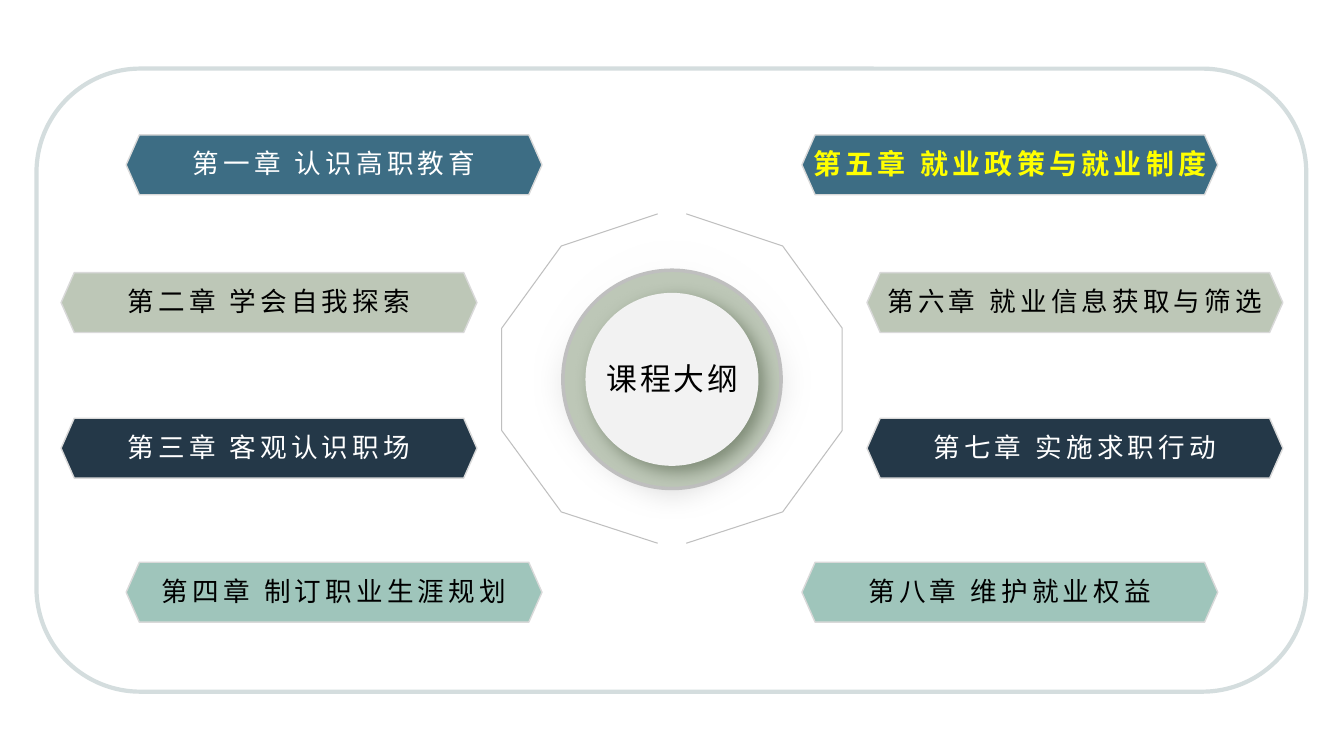
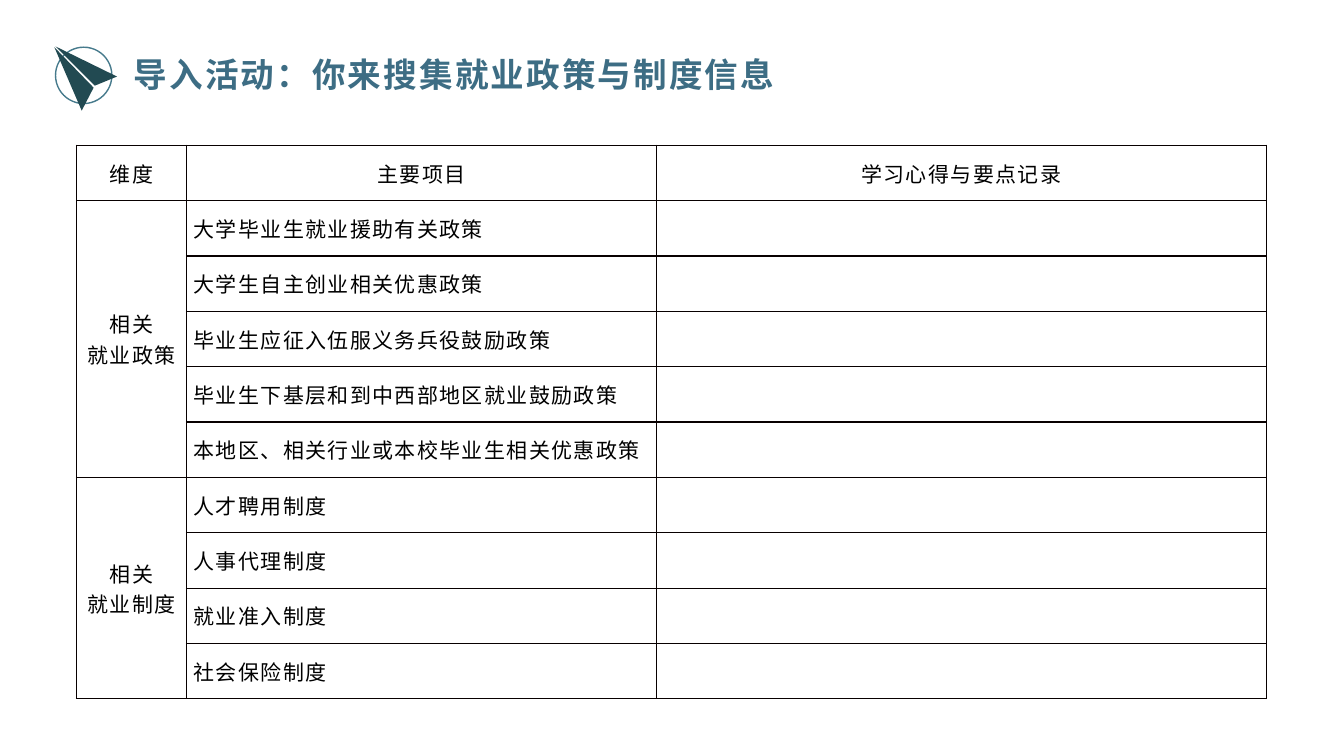
from dataclasses import dataclass

from pptx import Presentation
from pptx import util as u
from pptx.dml.color import RGBColor
from pptx.enum import shapes, text
from pptx.oxml import parse_xml
from pptx.oxml.ns import nsdecls

Cm, Pt = u.Cm, u.Pt
FONT = "Noto Sans CJK SC"
WIDE, HIGH = 33.87, 19.05
HUES = {
    "blue": "3D6D84", "sage": "BDC7B7", "navy": "243848", "mint": "9FC5BB",
    "white": "FFFFFF", "black": "000000", "yellow": "FFFF00", "frame": "D4DDDE",
    "edge": "D9D9D9", "grey": "BFBFBF", "pale": "F2F2F2", "shade": "5D6B54",
    "ring": "467A8C", "plane": "224A52", "grid": "080000",
}


@dataclass
class Style:
    size: float
    hue: str = "black"
    bold: bool = False
    gap: float = 0


@dataclass
class Row:
    top: float
    inset: float
    fill: str
    ink: str
    left: str
    right: str


@dataclass
class Group:
    name: list[str]
    items: list[str]


# Chapters, one pair a row
BAR_W, BAR_H = 10.48, 1.51
ROWS = [
    Row(3.4, 3.18, "blue", "white", "第一章 认识高职教育", "第五章 就业政策与就业制度"),
    Row(6.87, 1.54, "sage", "black", "第二章 学会自我探索", "第六章 就业信息获取与筛选"),
    Row(10.54, 1.54, "navy", "white", "第三章 客观认识职场", "第七章 实施求职行动"),
    Row(14.17, 3.18, "mint", "black", "第四章 制订职业生涯规划", "第八章 维护就业权益"),
]
NOW = ROWS[0].right
MID_X, MID_Y = WIDE / 2, 9.56
ARC = [(0.36, -4.17), (2.79, -3.36), (4.29, -1.29), (4.29, 1.29), (2.79, 3.34), (0.36, 4.13)]

# Table and icon
HEADS = ["维度", "主要项目", "学习心得与要点记录"]
COLS = [2.77, 11.84, 15.37]
GROUPS = [
    Group(["相关", "就业政策"], [
        "大学毕业生就业援助有关政策", "大学生自主创业相关优惠政策",
        "毕业生应征入伍服义务兵役鼓励政策", "毕业生下基层和到中西部地区就业鼓励政策",
        "本地区、相关行业或本校毕业生相关优惠政策"]),
    Group(["相关", "就业制度"], ["人才聘用制度", "人事代理制度", "就业准入制度", "社会保险制度"]),
]
WINGS = [
    [(2.95, 1.93), (2.39, 2.16), (1.4, 1.17)],
    [(2.36, 2.21), (2.06, 2.79), (1.37, 1.19)],
]


def tint(key: str) -> RGBColor:
    return RGBColor.from_string(HUES[key])


def write(frame, lines: list[str], style: Style, align=text.PP_ALIGN.CENTER) -> None:
    for i, line in enumerate(lines):
        para = frame.paragraphs[0] if i == 0 else frame.add_paragraph()
        para.alignment = align
        run = para.add_run()
        run.text = line
        font = run.font
        font.name, font.size, font.bold = FONT, Pt(style.size), style.bold
        font.color.rgb = tint(style.hue)
        props = run._r.get_or_add_rPr()
        props.set("spc", str(int(style.gap * 100)))
        props.append(parse_xml(f'<a:ea {nsdecls("a")} typeface="{FONT}"/>'))


def paint(shape, fill: str = "", line: str = "", width: float = 1) -> None:
    shape.shadow.inherit = False
    if fill:
        shape.fill.solid()
        shape.fill.fore_color.rgb = tint(fill)
    else:
        shape.fill.background()
    if line:
        shape.line.color.rgb = tint(line)
        shape.line.width = Pt(width)
    else:
        shape.line.fill.background()


def disc(slide, x: float, y: float, size: float, **look):
    """Draw a circle about its centre."""
    shape = slide.shapes.add_shape(shapes.MSO_SHAPE.OVAL, Cm(x - size / 2),
                                   Cm(y - size / 2), Cm(size), Cm(size))
    paint(shape, **look)
    return shape


def glow(shape, inner: str) -> None:
    """Put one effect in the shape's effect list."""
    props = shape._element.spPr
    for old in props.findall("{*}effectLst"):
        props.remove(old)
    props.append(parse_xml(f'<a:effectLst {nsdecls("a")}>{inner}</a:effectLst>'))


def trace(slide, paths: list, close: bool, **look) -> None:
    pen = None
    for path in paths:
        pts = [(Cm(x), Cm(y)) for x, y in path]
        if pen is None:
            pen = slide.shapes.build_freeform(*pts[0], scale=1.0)
        else:
            pen.move_to(*pts[0])
        pen.add_line_segments(pts[1:], close=close)
    paint(pen.convert_to_shape(), **look)


def title(slide, words: str, style: Style, box: tuple, align) -> None:
    """Place the title above the other shapes."""
    shape = slide.shapes.title
    shape.left, shape.top, shape.width, shape.height = map(Cm, box)
    frame = shape.text_frame
    frame.auto_size = text.MSO_AUTO_SIZE.NONE
    frame.vertical_anchor = text.MSO_ANCHOR.MIDDLE
    write(frame, [words], style, align)
    slide.shapes._spTree.append(shape._element)


def bar(slide, row: Row, x: float, words: str) -> None:
    shape = slide.shapes.add_shape(shapes.MSO_SHAPE.HEXAGON, Cm(x), Cm(row.top),
                                   Cm(BAR_W), Cm(BAR_H))
    shape.adjustments[0] = 0.22
    paint(shape, row.fill, "edge", 1)
    frame = shape.text_frame
    frame.word_wrap = False
    frame.margin_left = frame.margin_right = frame.margin_top = 0
    frame.margin_bottom = Cm(0.08)
    frame.vertical_anchor = text.MSO_ANCHOR.MIDDLE
    style = Style(20, "yellow", True, 3) if words == NOW else Style(19, row.ink, gap=3)
    write(frame, [words], style)


def outline(slide) -> None:
    # Frame
    frame = slide.shapes.add_shape(shapes.MSO_SHAPE.ROUNDED_RECTANGLE,
                                   Cm(0.92), Cm(1.73), Cm(32), Cm(15.7))
    paint(frame, line="frame", width=3)

    # Hub
    halo = disc(slide, MID_X, MID_Y, 7.4)
    halo.fill.gradient()
    halo.fill.gradient_angle = 270
    for stop, key in zip(halo.fill.gradient_stops, ("white", "grey")):
        stop.color.rgb = tint(key)
    glow(halo, f'<a:softEdge rad="{Pt(25)}"/>')
    disc(slide, MID_X, MID_Y, 5.5, fill="sage", line="grey", width=2.5)
    core = disc(slide, MID_X, MID_Y, 4.36, fill="pale")
    glow(core, f'<a:outerShdw blurRad="{Pt(12)}" dist="{Pt(6)}" dir="2700000">'
               f'<a:srgbClr val="{HUES["shade"]}"><a:alpha val="64000"/></a:srgbClr>'
               '</a:outerShdw>')
    for side in (-1, 1):
        path = [(MID_X + side * x, MID_Y + y) for x, y in ARC]
        trace(slide, [path], False, line="grey", width=0.75)

    # Chapter bars, mirrored
    for row in ROWS:
        bar(slide, row, row.inset, row.left)
        bar(slide, row, WIDE - row.inset - BAR_W, row.right)

    title(slide, "课程大纲", Style(22, gap=2), (14.2, 9.06, 5.5, 0.95),
          text.PP_ALIGN.CENTER)


def fill_cell(cell, lines: list[str], align) -> None:
    cell.vertical_anchor = text.MSO_ANCHOR.MIDDLE
    cell.margin_left = cell.margin_right = Cm(0.18)
    cell.margin_top = cell.margin_bottom = 0
    write(cell.text_frame, lines, Style(15, gap=1), align)


def survey(slide) -> None:
    # Heading with icon
    disc(slide, 2.11, 1.9, 1.42, line="ring")
    trace(slide, WINGS, True, fill="plane")
    title(slide, "导入活动：你来搜集就业政策与制度信息", Style(24, "blue", True, 1.5),
          (3.12, 1.24, 16.94, 1.27), text.PP_ALIGN.LEFT)

    # Table grid
    count = 1 + sum(len(group.items) for group in GROUPS)
    grid = slide.shapes.add_table(count, len(COLS), Cm(1.93), Cm(3.66),
                                  Cm(sum(COLS)), Cm(13.95)).table
    grid.first_row = grid.horz_banding = False
    for col, width in zip(grid.columns, COLS):
        col.width = Cm(width)
    for cell in grid.iter_cells():
        props = cell._tc.get_or_add_tcPr()
        for side in "LRTB":
            props.append(parse_xml(
                f'<a:ln{side} {nsdecls("a")} w="{Pt(1)}"><a:solidFill>'
                f'<a:srgbClr val="{HUES["grid"]}"/></a:solidFill></a:ln{side}>'))
        cell.fill.background()

    # Table text
    for i, head in enumerate(HEADS):
        fill_cell(grid.cell(0, i), [head], text.PP_ALIGN.CENTER)
    top = 1
    for group in GROUPS:
        end = top + len(group.items)
        grid.cell(top, 0).merge(grid.cell(end - 1, 0))
        fill_cell(grid.cell(top, 0), group.name, text.PP_ALIGN.CENTER)
        for i, item in enumerate(group.items, top):
            fill_cell(grid.cell(i, 1), [item], text.PP_ALIGN.LEFT)
        top = end


def main() -> None:
    deck = Presentation()
    deck.slide_width, deck.slide_height = Cm(WIDE), Cm(HIGH)
    for draw in (outline, survey):
        draw(deck.slides.add_slide(deck.slide_layouts[5]))
    deck.save("out.pptx")


if __name__ == "__main__":
    main()
